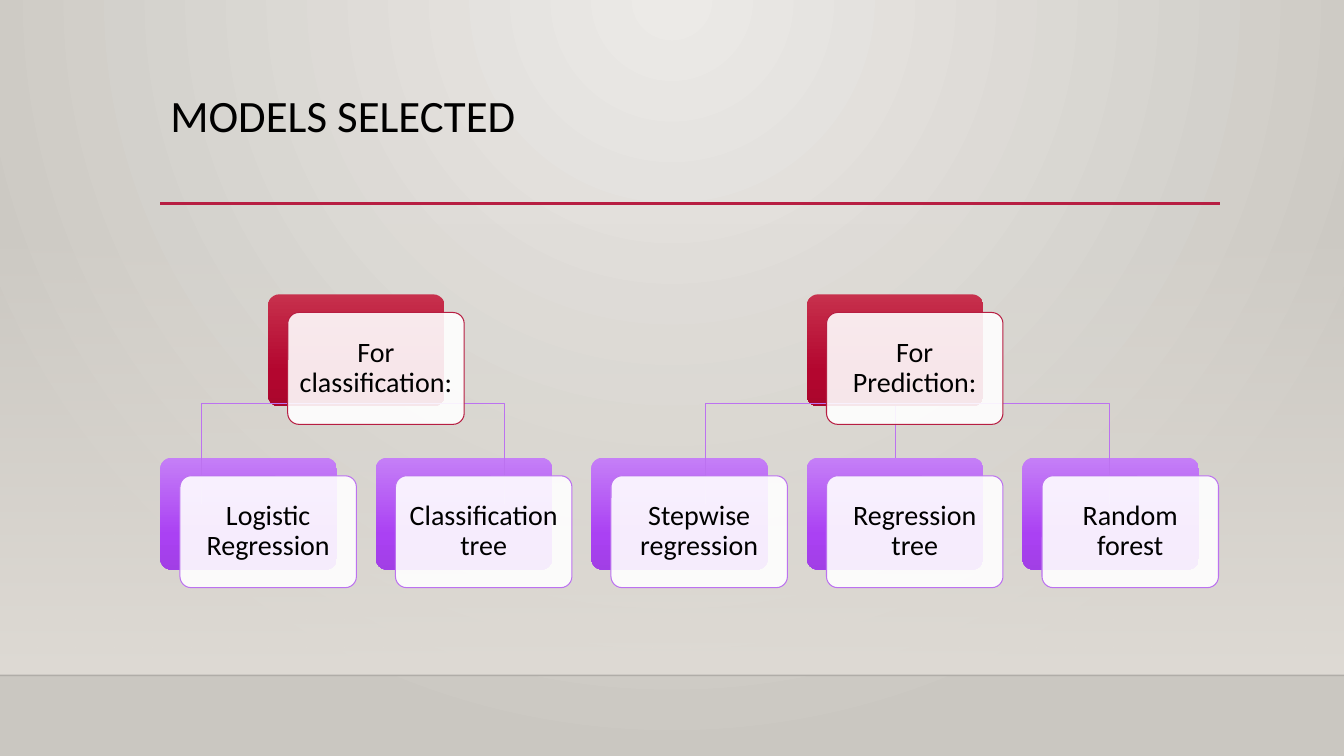
import pptx
import pptx.dml.color
import pptx.enum.shapes
import pptx.enum.text
import pptx.oxml
import pptx.oxml.ns
import pptx.util
from dataclasses import dataclass

Inches = pptx.util.Inches
SHAPES = pptx.enum.shapes.MSO_SHAPE
ALIGN = pptx.enum.text.PP_ALIGN
ANCHOR = pptx.enum.text.MSO_ANCHOR


@dataclass(frozen=True)
class Theme:
    """Colours, font and sizes of the slide."""
    font: str = "Calibri"
    title_size: int = 32
    card_size: int = 20
    text: str = "000000"
    card: str = "FFFFFF"
    crimson: str = "B71E42"
    purple: str = "BC72F0"
    crimson_stops: tuple = ((0, "C7304C", 100), (69, "B3062F", 100), (100, "AA062C", 100))
    purple_stops: tuple = ((0, "C57FF7", 100), (69, "AA41F3", 100), (100, "A13FE5", 100))
    backdrop_stops: tuple = ((0, "ECEAE7", 100), (100, "CAC7C1", 100))
    wall_stops: tuple = ((0, "DFDBD5", 0), (100, "DFDBD5", 100))


THEME = Theme()
WIDTH, HEIGHT = 13.33, 7.5
LEFT, RIGHT = 1.59, 12.1
COLUMN = 2.1375
ROW_TOPS = (2.92, 4.54)
CARD_WIDTH, CARD_HEIGHT = 1.75, 1.11
CARD_SHIFT = (0.195, 0.18)
BUS_Y = 4.38
FLOOR_Y = 6.7
DOWN = '<a:lin ang="5400000" scaled="0"/>'
FROM_TOP = '<a:path path="circle"><a:fillToRect l="43000" t="0" r="43000" b="100000"/></a:path>'

GROUPS = (
    ("For classification:", 0.5, (("Logistic Regression", 0), ("Classification tree", 1))),
    ("For Prediction:", 3, (("Stepwise regression", 2), ("Regression tree", 3), ("Random forest", 4))),
)


def rgb(color):
    """Return the colour object for a hex value."""
    return pptx.dml.color.RGBColor.from_string(color)


def set_alpha(owner, percent):
    """Set the opacity of the solid colours in an element."""
    for color in owner.xpath(".//a:solidFill/a:srgbClr"):
        color.append(pptx.oxml.parse_xml(
            f'<a:alpha {pptx.oxml.ns.nsdecls("a")} val="{percent * 1000}"/>'))


def paint_gradient(fill, owner, stops, direction):
    """Give the fill inside an element gradient stops and a direction."""
    fill.solid()
    fill.fore_color.rgb = rgb(stops[0][1])
    marks = "".join(
        f'<a:gs pos="{pos * 1000}"><a:srgbClr val="{color}"><a:alpha val="{alpha * 1000}"/>'
        f'</a:srgbClr></a:gs>' for pos, color, alpha in stops)
    owner.replace(owner.xpath("./a:solidFill")[0], pptx.oxml.parse_xml(
        f'<a:gradFill {pptx.oxml.ns.nsdecls("a")} rotWithShape="1">'
        f'<a:gsLst>{marks}</a:gsLst>{direction}</a:gradFill>'))


def write(shape, text, size, align=ALIGN.LEFT, anchor=ANCHOR.TOP, inset=(0.1, 0.05), after=0):
    """Write one formatted paragraph in a shape."""
    frame = shape.text_frame
    frame.word_wrap = True
    frame.vertical_anchor = anchor
    frame.margin_left = frame.margin_right = Inches(inset[0])
    frame.margin_top = frame.margin_bottom = Inches(inset[1])
    paragraph = frame.paragraphs[0]
    paragraph.alignment = align
    paragraph.line_spacing = 0.9
    paragraph.space_after = pptx.util.Pt(after)
    run = paragraph.add_run()
    run.text = text
    run.font.size = pptx.util.Pt(size)
    run.font.name = THEME.font
    run.font.color.rgb = rgb(THEME.text)


def add_panel(slide, kind, left, top, width, height):
    """Add a preset shape with no shadow and no outline."""
    panel = slide.shapes.add_shape(kind, *map(Inches, (left, top, width, height)))
    panel.shadow.inherit = False
    panel.line.fill.background()
    if kind == SHAPES.ROUNDED_RECTANGLE:
        panel.adjustments[0] = 0.1
    return panel


def add_rule(slide, start, end, color, weight, alpha=100):
    """Add a straight line between two points."""
    rule = slide.shapes.add_connector(
        pptx.enum.shapes.MSO_CONNECTOR.STRAIGHT, *map(Inches, (*start, *end)))
    rule.line.color.rgb = rgb(color)
    rule.line.width = pptx.util.Pt(weight)
    properties = rule._element.spPr
    if alpha < 100:
        set_alpha(properties, alpha)
    properties.append(pptx.oxml.parse_xml(f'<a:effectLst {pptx.oxml.ns.nsdecls("a")}/>'))
    return rule


def card_corner(column, row):
    """Return the left and top of a card in the grid."""
    return LEFT + column * COLUMN, ROW_TOPS[row]


def add_backing(slide, column, row, stops):
    """Add the coloured plate behind a card."""
    plate = add_panel(slide, SHAPES.ROUNDED_RECTANGLE, *card_corner(column, row),
                      CARD_WIDTH, CARD_HEIGHT)
    paint_gradient(plate.fill, plate._element.spPr, stops, DOWN)
    return plate


def add_card(slide, text, column, row, outline):
    """Add the translucent labelled card in front of its plate."""
    left, top = card_corner(column, row)
    card = add_panel(slide, SHAPES.ROUNDED_RECTANGLE, left + CARD_SHIFT[0],
                     top + CARD_SHIFT[1], CARD_WIDTH, CARD_HEIGHT)
    card.fill.solid()
    card.fill.fore_color.rgb = rgb(THEME.card)
    set_alpha(card._element.spPr, 90)
    card.line.color.rgb = rgb(outline)
    card.line.width = pptx.util.Pt(0.75)
    write(card, text, THEME.card_size, align=ALIGN.CENTER, anchor=ANCHOR.MIDDLE,
          inset=(0.06, 0.08), after=7)


def add_branch(slide, parent, child, parent_column, child_column):
    """Link a parent plate to a child plate, bending where needed."""
    start_x = card_corner(parent_column, 0)[0] + CARD_WIDTH / 2
    end_x = card_corner(child_column, 1)[0] + CARD_WIDTH / 2
    start_y, end_y = ROW_TOPS[0] + CARD_HEIGHT, ROW_TOPS[1]
    if parent_column == child_column:
        link = add_rule(slide, (start_x, start_y), (end_x, end_y), THEME.purple, 0.75)
        link.begin_connect(parent, 2)
        link.end_connect(child, 0)
        return
    outline = slide.shapes.build_freeform(start_x, start_y, scale=Inches(1))
    outline.add_line_segments(((start_x, BUS_Y), (end_x, BUS_Y), (end_x, end_y)), close=False)
    branch = outline.convert_to_shape()
    branch.shadow.inherit = False
    branch.fill.background()
    branch.line.color.rgb = rgb(THEME.purple)
    branch.line.width = pptx.util.Pt(0.75)


def add_setting(slide):
    """Paint the backdrop, wall, floor line and title."""
    backdrop = slide.background.fill
    backdrop.solid()
    paint_gradient(backdrop, slide.element.xpath(".//p:bgPr")[0], THEME.backdrop_stops, FROM_TOP)
    wall = add_panel(slide, SHAPES.RECTANGLE, 0, 2.21, WIDTH, FLOOR_Y - 2.21)
    paint_gradient(wall.fill, wall._element.spPr, THEME.wall_stops, DOWN)
    add_rule(slide, (0, FLOOR_Y), (WIDTH, FLOOR_Y), THEME.text, 1, alpha=20)
    add_rule(slide, (LEFT, 2.02), (RIGHT, 2.02), THEME.crimson, 2.5)
    title = slide.shapes.add_textbox(*map(Inches, (LEFT, 0.88, RIGHT - LEFT, 1.15)))
    write(title, "MODELS SELECTED", THEME.title_size)


def add_tree(slide, heading, column, models):
    """Add a heading card with its model cards below."""
    parent = add_backing(slide, column, 0, THEME.crimson_stops)
    for _, model_column in models:
        child = add_backing(slide, model_column, 1, THEME.purple_stops)
        add_branch(slide, parent, child, column, model_column)
    add_card(slide, heading, column, 0, THEME.crimson)
    for model, model_column in models:
        add_card(slide, model, model_column, 1, THEME.purple)


def main():
    """Build and save the slide."""
    deck = pptx.Presentation()
    deck.slide_width, deck.slide_height = Inches(WIDTH), Inches(HEIGHT)
    slide = deck.slides.add_slide(deck.slide_layouts[6])
    add_setting(slide)
    for heading, column, models in GROUPS:
        add_tree(slide, heading, column, models)
    deck.save("out.pptx")


if __name__ == "__main__":
    main()
